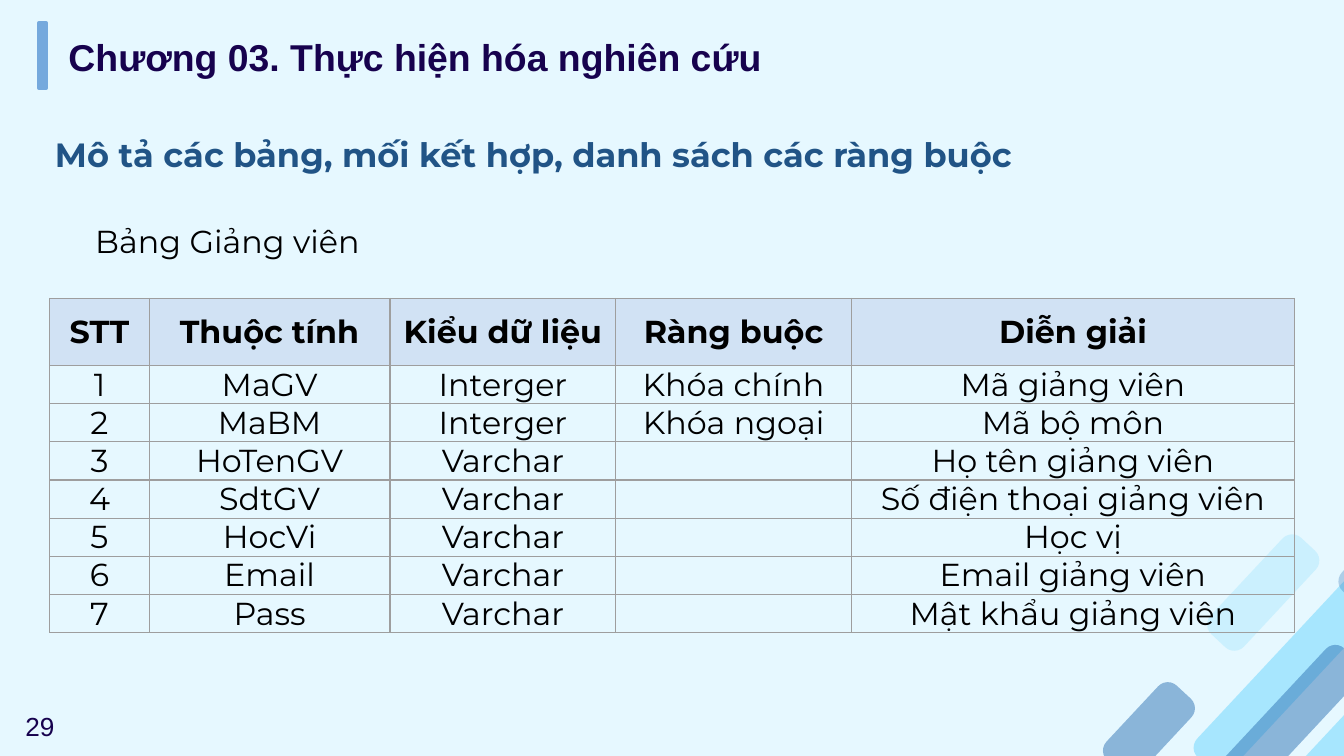
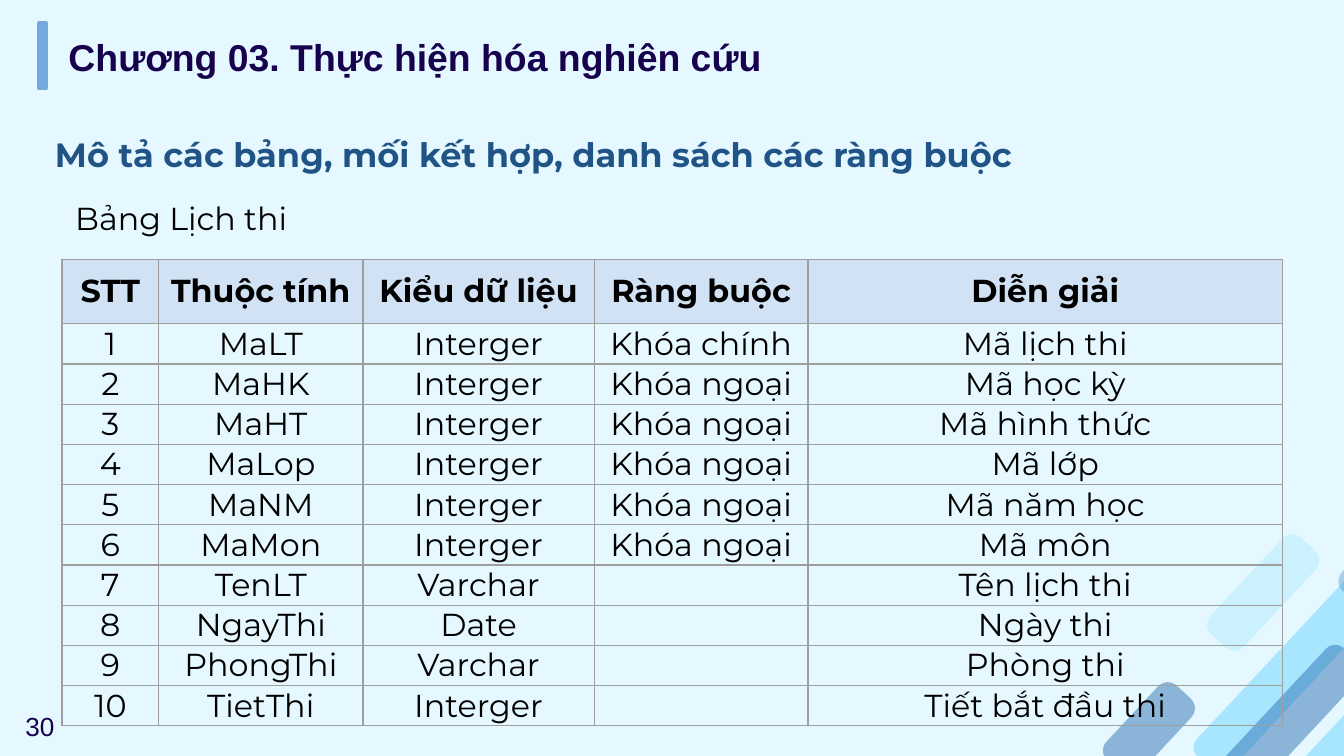
from lxml import etree
from pptx import Presentation
from pptx.dml.color import RGBColor
from pptx.enum.shapes import MSO_SHAPE as SHAPE
from pptx.enum.text import MSO_ANCHOR as ANCHOR, MSO_AUTO_SIZE as AUTO, PP_ALIGN as ALIGN
from pptx.oxml.ns import qn
from pptx.util import Cm, Pt

# Shared look
NAVY, BLUE, SKY, STEEL = "17024E", "215486", "17BFFE", "2C70B3"
BACK, BAR, HEAD, GRID, BLACK = "E6F8FF", "75A9DD", "D1E2F4", "9E9E9E", "000000"
TITLE = "Chương 03. Thực hiện hóa nghiên cứu"
SUBTITLE = "Mô tả các bảng, mối kết hợp, danh sách các ràng buộc"
HEADERS = ["STT", "Thuộc tính", "Kiểu dữ liệu", "Ràng buộc", "Diễn giải"]
TITLE_FONT = dict(name="Arial", size=Pt(20), bold=True, color=NAVY)
SUBTITLE_FONT = dict(name="Montserrat", size=Pt(18), bold=True, color=BLUE)
BODY_FONT = dict(name="Montserrat", size=Pt(17), bold=False, color=BLACK)
HEAD_FONT = dict(BODY_FONT, bold=True)
PAGE_FONT = dict(name="Arial", size=Pt(14), bold=False, color=NAVY)

# Corner stripes: left, top, width, colour, opacity in percent
STRIPE_HEIGHT, STRIPE_ANGLE = 0.86, 313
STRIPES = [
    (20.75, 13.36, 1.93, STEEL, 49),
    (21.87, 11.94, 5.66, SKY, 30),
    (20.78, 14.02, 5.66, STEEL, 49),
    (24.51, 13.64, 1.93, SKY, 30),
    (22.63, 10.77, 2.49, SKY, 13),
    (25.2, 10.16, 1.93, STEEL, 30),
]

# What differs from slide to slide
SLIDES = [
    dict(
        page="29", label="Bảng Giảng viên", label_at=(1.55, 4.06),
        table_at=(0.94, 5.64), cols=[1.88, 4.55, 4.27, 4.45, 8.38],
        head_height=1.27, row_height=0.72,
        rows=[
            ("MaGV", "Interger", "Khóa chính", "Mã giảng viên"),
            ("MaBM", "Interger", "Khóa ngoại", "Mã bộ môn"),
            ("HoTenGV", "Varchar", "", "Họ tên giảng viên"),
            ("SdtGV", "Varchar", "", "Số điện thoại giảng viên"),
            ("HocVi", "Varchar", "", "Học vị"),
            ("Email", "Varchar", "", "Email giảng viên"),
            ("Pass", "Varchar", "", "Mật khẩu giảng viên"),
        ],
    ),
    dict(
        page="30", label="Bảng Lịch thi", label_at=(1.17, 3.63),
        table_at=(1.17, 4.9), cols=[1.83, 3.86, 4.37, 4.04, 8.97],
        head_height=1.22, row_height=0.76,
        rows=[
            ("MaLT", "Interger", "Khóa chính", "Mã lịch thi"),
            ("MaHK", "Interger", "Khóa ngoại", "Mã học kỳ"),
            ("MaHT", "Interger", "Khóa ngoại", "Mã hình thức"),
            ("MaLop", "Interger", "Khóa ngoại", "Mã lớp"),
            ("MaNM", "Interger", "Khóa ngoại", "Mã năm học"),
            ("MaMon", "Interger", "Khóa ngoại", "Mã môn"),
            ("TenLT", "Varchar", "", "Tên lịch thi"),
            ("NgayThi", "Date", "", "Ngày thi"),
            ("PhongThi", "Varchar", "", "Phòng thi"),
            ("TietThi", "Interger", "", "Tiết bắt đầu thi"),
        ],
    ),
]


def rgb(value):
    return RGBColor.from_string(value)


def write(tf, text, style, align=ALIGN.LEFT):
    """Put one formatted paragraph into a text frame."""
    p = tf.paragraphs[0]
    p.alignment = align
    if not text:
        # An empty cell keeps the row's text size
        etree.SubElement(p._p, qn("a:endParaRPr")).set("sz", str(int(style["size"].pt * 100)))
        return p
    r = p.add_run()
    r.text = text
    for key, value in style.items():
        if key == "color":
            r.font.color.rgb = rgb(value)
        else:
            setattr(r.font, key, value)
    return p


prs = Presentation()
prs.slide_width, prs.slide_height = Cm(25.4), Cm(14.29)
fill = prs.slide_master.background.fill
fill.solid()
fill.fore_color.rgb = rgb(BACK)

for data in SLIDES:
    s = prs.slides.add_slide(prs.slide_layouts[5])

    # Corner stripes
    for left, top, width, color, opacity in STRIPES:
        sp = s.shapes.add_shape(SHAPE.ROUNDED_RECTANGLE, Cm(left), Cm(top),
                                Cm(width), Cm(STRIPE_HEIGHT))
        sp.adjustments[0] = 0.29
        sp.rotation = STRIPE_ANGLE
        sp.shadow.inherit = False
        sp.line.fill.background()
        sp.fill.solid()
        sp.fill.fore_color.rgb = rgb(color)
        clr = sp._element.spPr.find(".//" + qn("a:srgbClr"))
        etree.SubElement(clr, qn("a:alpha")).set("val", str(opacity * 1000))

    # Title with its bar
    bar = s.shapes.add_shape(SHAPE.RECTANGLE, Cm(0.74), Cm(0.43), Cm(0.13), Cm(1.24))
    bar.shadow.inherit = False
    bar.fill.solid()
    bar.fill.fore_color.rgb = bar.line.color.rgb = rgb(BAR)
    bar.line.width = Pt(2)

    title = s.shapes.title
    title.left, title.top, title.width, title.height = Cm(1.04), Cm(0.51), Cm(20.75), Cm(1.12)
    tf = title.text_frame
    tf.word_wrap, tf.auto_size, tf.vertical_anchor = True, AUTO.SHAPE_TO_FIT_TEXT, ANCHOR.MIDDLE
    write(tf, TITLE, TITLE_FONT)

    # Subtitle, table label and page number
    for left, top, width, height, text, style in [
        (0.79, 2.03, 24.03, 1.27, SUBTITLE, SUBTITLE_FONT),
        (*data["label_at"], 5.59, 0.99, data["label"], BODY_FONT),
        (0.23, 13.31, 1.5, 0.86, data["page"], PAGE_FONT),
    ]:
        tf = s.shapes.add_textbox(Cm(left), Cm(top), Cm(width), Cm(height)).text_frame
        tf.word_wrap, tf.auto_size = True, AUTO.SHAPE_TO_FIT_TEXT
        p = write(tf, text, style)
        if text == SUBTITLE:
            p.alignment, p.line_spacing = ALIGN.JUSTIFY, 1.5

    # Attribute table
    rows = [HEADERS] + [(str(n), *row) for n, row in enumerate(data["rows"], 1)]
    heights = [data["head_height"]] + [data["row_height"]] * len(data["rows"])
    left, top = data["table_at"]
    table = s.shapes.add_table(len(rows), len(HEADERS), Cm(left), Cm(top),
                               Cm(sum(data["cols"])), Cm(sum(heights))).table
    table.first_row = table.horz_banding = False
    for column, width in zip(table.columns, data["cols"]):
        column.width = Cm(width)
    for i, row in enumerate(rows):
        table.rows[i].height = Cm(heights[i])
        for j, text in enumerate(row):
            cell = table.cell(i, j)
            cell.vertical_anchor = ANCHOR.MIDDLE
            cell.margin_left = cell.margin_right = Cm(0.18)
            cell.margin_top = cell.margin_bottom = 0
            write(cell.text_frame, text, BODY_FONT if i else HEAD_FONT, ALIGN.CENTER)
            tcPr = cell._tc.get_or_add_tcPr()
            for side in ("lnL", "lnR", "lnT", "lnB"):
                ln = etree.SubElement(tcPr, qn("a:" + side), w=str(Pt(0.75)))
                solid = etree.SubElement(ln, qn("a:solidFill"))
                etree.SubElement(solid, qn("a:srgbClr"), val=GRID)
            if i:
                cell.fill.background()
            else:
                cell.fill.solid()
                cell.fill.fore_color.rgb = rgb(HEAD)

prs.save("out.pptx")
